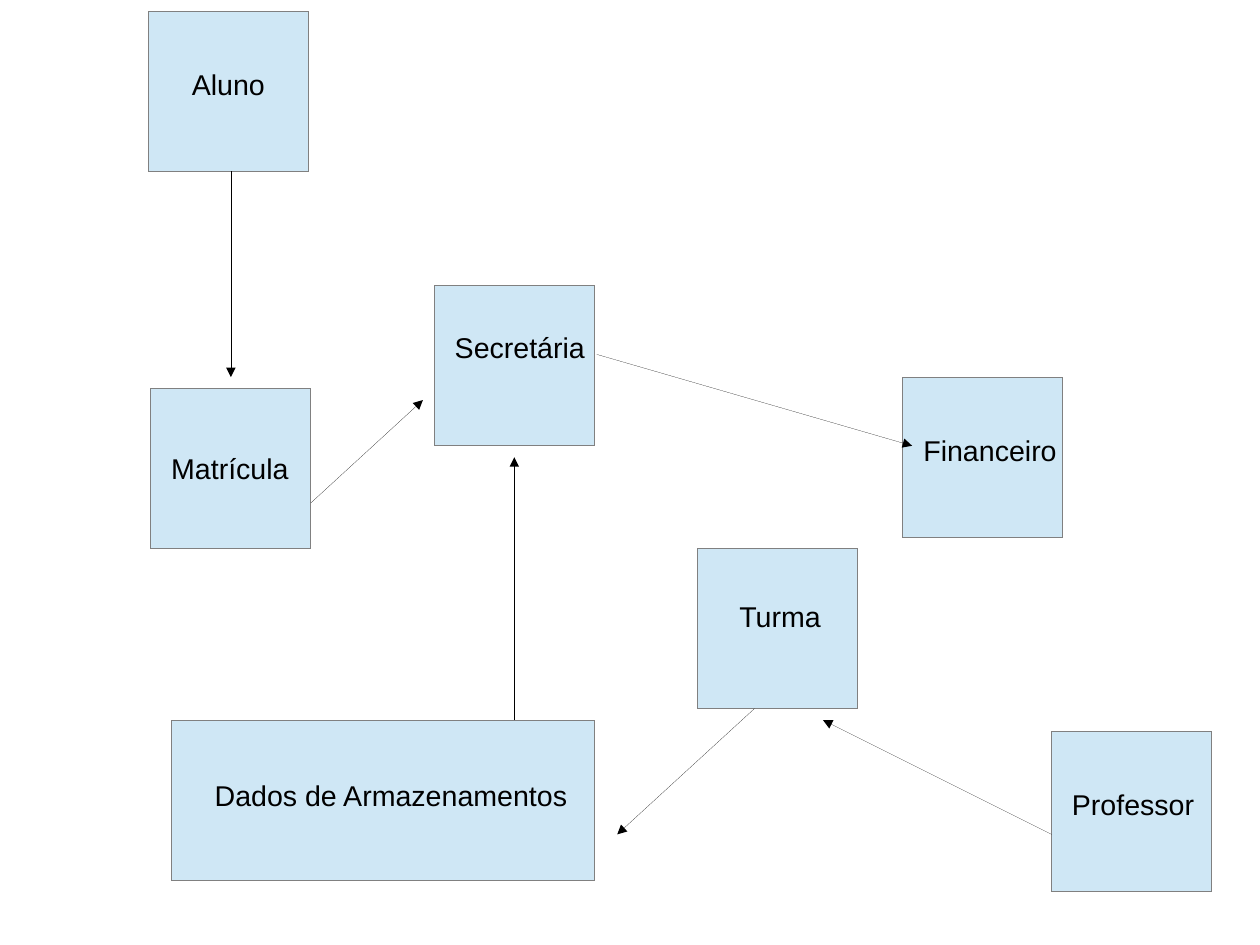
import pptx
import pptx.util
import pptx.dml.color
import pptx.enum.shapes
import pptx.enum.text
import pptx.oxml.ns
import lxml.etree

Inches = pptx.util.Inches
RGBColor = pptx.dml.color.RGBColor

BLUE = RGBColor(0xCF, 0xE7, 0xF5)
GRAY = RGBColor(0x80, 0x80, 0x80)
BLACK = RGBColor(0, 0, 0)
SIDE = 1.4
HAIR = pptx.util.Pt(0.01)

# label, box left, top, width, then label left, top, width
BOXES = [
    ("Aluno", 1.3, 0.1, SIDE, 1.58, 0.54, 0.92),
    ("Secretária", 3.8, 2.5, SIDE, 3.88, 2.84, 1.41),
    ("Matrícula", 1.32, 3.4, SIDE, 1.4, 3.9, 1.36),
    ("Professor", 9.2, 6.4, SIDE, 9.28, 6.84, 1.32),
    ("Financeiro", 7.9, 3.3, SIDE, 7.98, 3.74, 1.49),
    ("Dados de Armazenamentos", 1.5, 6.3, 3.7, 1.78, 6.76, 3.46),
    ("Turma", 6.1, 4.8, SIDE, 6.37, 5.19, 1),
]

# start x, y, end x, y
FLOWS = [
    (2.02, 1.5, 2.02, 3.3),    # Aluno to Matrícula
    (2.72, 4.4, 3.7, 3.5),     # Matrícula to Secretária
    (5.22, 3.1, 7.98, 3.9),    # Secretária to Financeiro
    (4.5, 6.3, 4.5, 4),        # Dados to Secretária
    (9.2, 7.3, 7.2, 6.3),      # Professor to Turma
    (6.6, 6.2, 5.4, 7.3),      # Turma to Dados
]


def write(frame, text, font="Arial", size=18, color=BLACK):
    run = frame.paragraphs[0].add_run()
    run.text = text
    run.font.name = font
    run.font.size = pptx.util.Pt(size)
    run.font.color.rgb = color


class Chart:
    """Style and current slide of the flow chart."""

    def __init__(self, slide, fill=BLUE, edge=GRAY, ink=BLACK):
        self.shapes = slide.shapes
        self.fill, self.edge, self.ink = fill, edge, ink

    def box(self, left, top, width, height=SIDE):
        box = self.shapes.add_shape(
            pptx.enum.shapes.MSO_SHAPE.RECTANGLE,
            Inches(left), Inches(top), Inches(width), Inches(height))
        box.shadow.inherit = False
        box.fill.solid()
        box.fill.fore_color.rgb = self.fill
        box.line.color.rgb = self.edge
        box.line.width = HAIR

    def label(self, text, left, top, width, height=0.44):
        frame = self.shapes.add_textbox(
            Inches(left), Inches(top), Inches(width), Inches(height)).text_frame
        frame.word_wrap = True
        frame.auto_size = pptx.enum.text.MSO_AUTO_SIZE.SHAPE_TO_FIT_TEXT
        write(frame, text, color=self.ink)

    def arrow(self, *ends):
        line = self.shapes.add_connector(
            pptx.enum.shapes.MSO_CONNECTOR.STRAIGHT, *map(Inches, ends))
        line.line.color.rgb = self.ink
        line.line.width = HAIR
        qn = pptx.oxml.ns.qn
        props = line._element.spPr
        lxml.etree.SubElement(props.find(qn("a:ln")), qn("a:tailEnd"), type="triangle")
        lxml.etree.SubElement(props, qn("a:effectLst"))


def main():
    # A 28 by 21 cm page
    deck = pptx.Presentation()
    deck.slide_width, deck.slide_height = pptx.util.Cm(28), pptx.util.Cm(21)
    chart = Chart(deck.slides.add_slide(deck.slide_layouts[6]))

    # Boxes with their labels
    for text, left, top, width, *place in BOXES:
        chart.box(left, top, width)
        chart.label(text, *place)

    # Arrows between the boxes
    for ends in FLOWS:
        chart.arrow(*ends)

    deck.save("out.pptx")


if __name__ == "__main__":
    main()
